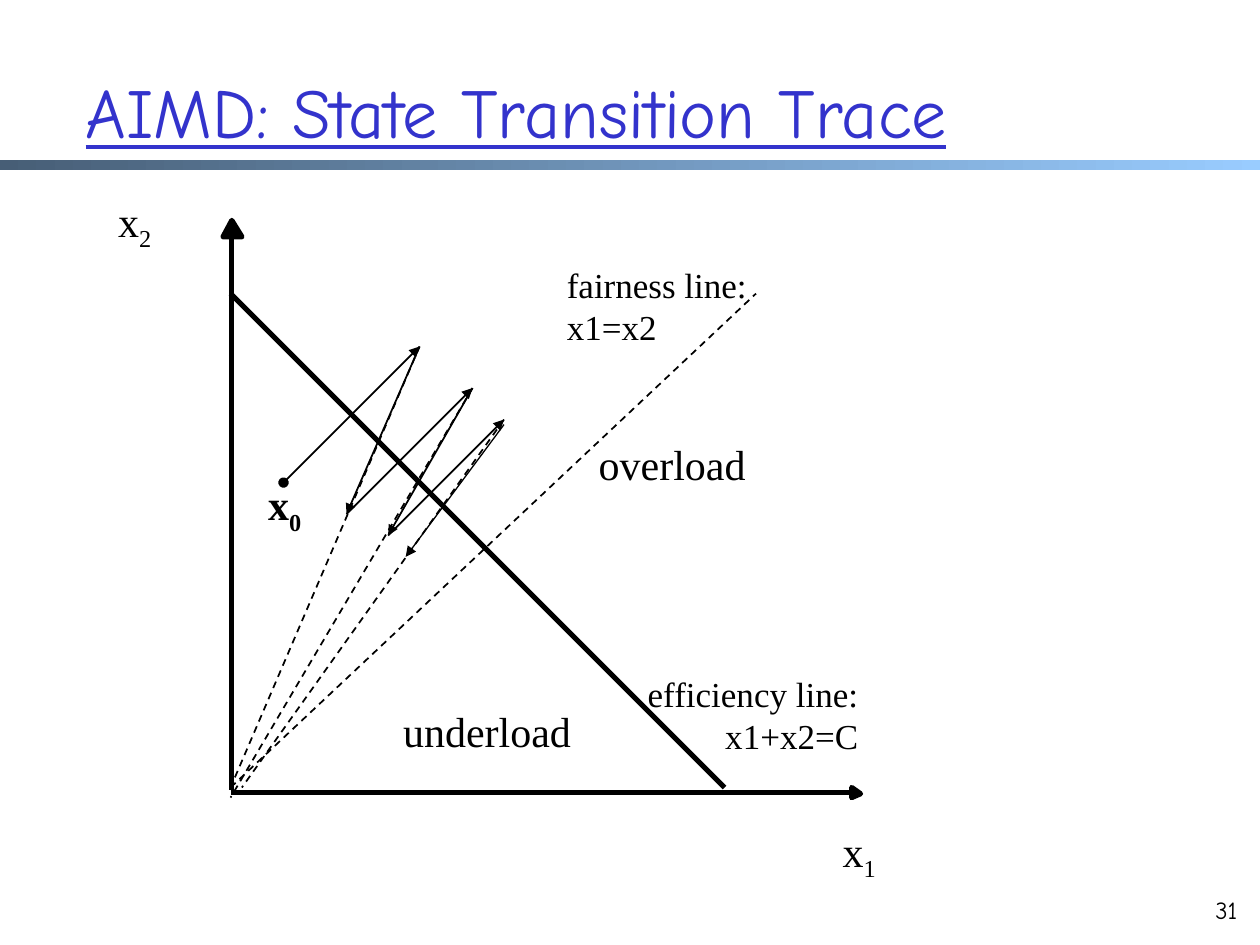
from typing import NamedTuple

from lxml.etree import SubElement
from pptx import Presentation
from pptx.dml.color import RGBColor
from pptx.enum.dml import MSO_LINE
from pptx.enum.shapes import MSO_CONNECTOR, MSO_SHAPE
from pptx.enum.text import MSO_ANCHOR, PP_ALIGN
from pptx.oxml.ns import qn
from pptx.util import Inches, Pt

BLACK = RGBColor(0x00, 0x00, 0x00)
TITLE_BLUE = RGBColor(0x33, 0x33, 0xCC)
BAR_DARK = RGBColor(0x47, 0x5E, 0x76)
BAR_LIGHT = RGBColor(0x99, 0xCC, 0xFF)
SERIF = "Times New Roman"
COMIC = "Comic Neue"

Point = tuple[float, float]


class Line(NamedTuple):
    start: Point
    end: Point
    width: float = 1
    dashed: bool = False
    head: str = ""
    tail: str = ""


class Label(NamedTuple):
    text: str
    left: float
    top: float
    width: float
    height: float = 0.5
    sub: str = ""
    size: float = 24
    align: PP_ALIGN = PP_ALIGN.CENTER
    bold: bool = False
    wrap: bool = False
    font: str = SERIF


def draw_line(s, line: Line) -> None:
    c = s.shapes.add_connector(
        MSO_CONNECTOR.STRAIGHT, *(Inches(v) for v in line.start + line.end))
    c.line.color.rgb = BLACK
    c.line.width = Pt(line.width)
    if line.dashed:
        c.line.dash_style = MSO_LINE.DASH
    ln = c.line._get_or_add_ln()
    for tag, kind in (("a:headEnd", line.head), ("a:tailEnd", line.tail)):
        if kind:
            SubElement(ln, qn(tag), type=kind)
    SubElement(c._element.spPr, qn("a:effectLst"))


def draw_arrowhead(s, points: list[Point]) -> None:
    first, *rest = [(Inches(x), Inches(y)) for x, y in points]
    builder = s.shapes.build_freeform(*first)
    builder.add_line_segments(rest, close=True)
    sp = builder.convert_to_shape()
    sp.shadow.inherit = False
    sp.fill.solid()
    sp.fill.fore_color.rgb = BLACK
    sp.line.color.rgb = BLACK
    sp.line.width = Pt(3)


def draw_label(s, label: Label) -> None:
    box = (label.left, label.top, label.width, label.height)
    tf = s.shapes.add_textbox(*(Inches(v) for v in box)).text_frame
    tf.word_wrap = label.wrap
    tf.text = label.text
    p = tf.paragraphs[0]
    p.alignment = label.align
    if label.sub:
        r = p.add_run()
        r.text = label.sub
        r.font._element.set("baseline", "-25000")
    for r in p.runs:
        r.font.name = label.font
        r.font.size = Pt(label.size)
        r.font.bold = label.bold
        r.font.color.rgb = BLACK


# Axes, drawn as a thick line plus a triangular head
AXES = [Line((1.83, 6.29), (6.78, 6.29), 3), Line((1.84, 6.27), (1.84, 1.84), 3)]
ARROWHEADS = [
    [(6.76, 6.33), (6.83, 6.3), (6.76, 6.25)],
    [(1.92, 1.88), (1.84, 1.75), (1.77, 1.88)],
]

# State trace: additive increase to each peak, then decrease towards the origin
START = (2.25, 3.83)
PEAKS = [(3.33, 2.75), (3.75, 3.08), (4, 3.33)]
TROUGHS = [(2.75, 4.08), (3.08, 4.25), (3.22, 4.42)]
RAY_ENDS = [(1.83, 6.25), (1.83, 6.33), (1.92, 6.25)]
INCREASES = [
    Line(a, b, head="oval" if a == START else "", tail="triangle")
    for a, b in zip([START] + TROUGHS, PEAKS)
]
RAYS = [Line(a, b, dashed=True) for a, b in zip(PEAKS, RAY_ENDS)]
DECREASES = [
    Line(PEAKS[0], TROUGHS[0], tail="triangle"),
    Line(PEAKS[1], TROUGHS[1], tail="triangle"),
    Line((4, 3.37), TROUGHS[2], 0.75, tail="triangle"),
]

FAIRNESS = Line((1.83, 6.25), (6, 2.33), dashed=True)
EFFICIENCY = Line((1.83, 2.33), (5.75, 6.25), 3)

LABELS = [
    Label("x", 6.58, 6.5, 0.48, sub="1"),
    Label("x", 0.83, 1.5, 0.48, sub="2"),
    Label("x", 2.02, 3.75, 0.48, sub="0", bold=True),
    Label("fairness line:\vx1=x2", 4.4, 2.04, 2.05, 0.77, size=20,
          align=PP_ALIGN.LEFT, wrap=True),
    Label("efficiency line: x1+x2=C", 4.82, 5.29, 2.09, 0.77, size=20,
          align=PP_ALIGN.RIGHT, wrap=True),
    Label("overload", 4.65, 3.43, 1.37),
    Label("underload", 3.1, 5.55, 1.53),
    Label("31", 9.46, 7.05, 0.46, 0.38, size=14, align=PP_ALIGN.RIGHT,
          wrap=True, font=COMIC),
]


def draw_header(s) -> None:
    # Gradient bar under the title
    bar = s.shapes.add_shape(
        MSO_SHAPE.RECTANGLE, 0, Inches(1.27), Inches(10), Inches(0.08))
    bar.shadow.inherit = False
    bar.line.fill.background()
    bar.fill.gradient()
    bar.fill.gradient_angle = 0
    for stop, color in zip(bar.fill.gradient_stops, (BAR_DARK, BAR_LIGHT)):
        stop.color.rgb = color

    # Title
    title = s.shapes.title
    title.left, title.top = Inches(0.58), Inches(0.25)
    title.width, title.height = Inches(8.5), Inches(1.25)
    tf = title.text_frame
    tf.text = "AIMD: State Transition Trace"
    tf.vertical_anchor = MSO_ANCHOR.MIDDLE
    p = tf.paragraphs[0]
    p.alignment = PP_ALIGN.LEFT
    font = p.runs[0].font
    font.name, font.size, font.underline = COMIC, Pt(40), True
    font.color.rgb = TITLE_BLUE


def main() -> None:
    prs = Presentation()
    prs.slide_width, prs.slide_height = Inches(10), Inches(7.5)
    s = prs.slides.add_slide(prs.slide_layouts[5])
    draw_header(s)
    for line in AXES + INCREASES + RAYS + DECREASES + [FAIRNESS, EFFICIENCY]:
        draw_line(s, line)
    for points in ARROWHEADS:
        draw_arrowhead(s, points)
    for label in LABELS:
        draw_label(s, label)
    prs.save("out.pptx")


if __name__ == "__main__":
    main()
